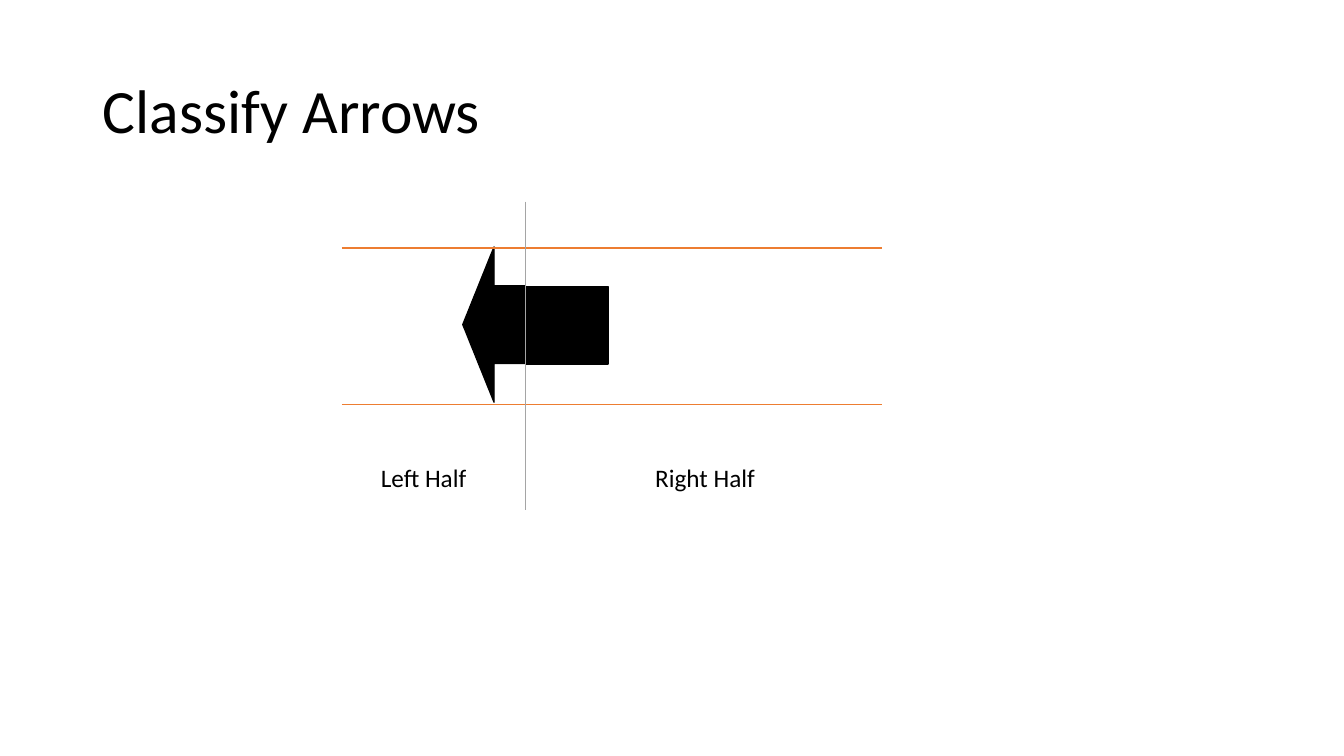
import pptx
import pptx.util
import pptx.dml.color
import pptx.enum.shapes
import pptx.enum.text
import pptx.oxml.ns
import lxml.etree

WIDE, HIGH = 13.33, 7.5
BLACK, ORANGE, GREY = "000000", "ED7D31", "A5A5A5"
TITLE = "Classify Arrows"
LEFT, MID, RIGHT = 3.39, 5.21, 8.75
TOP, BASE = 2.46, 4.01
LABELS = [("Left Half", 3.68, 1.07, False), ("Right Half", 6.4, 1.27, True)]
KINDS = pptx.enum.shapes.MSO_SHAPE
PARTS = [
    (KINDS.LEFT_ARROW, MID - 0.62, 2.45, 0.62, 1.54),
    (KINDS.RECTANGLE, MID, 2.84, 0.82, 0.77),
]
RULES = [
    (LEFT, TOP, RIGHT, TOP, ORANGE, 1.5),
    (LEFT, BASE, RIGHT, BASE, ORANGE, 0.5),
    (MID, 2, MID, 5.06, GREY, 0.5),
]


def tint(code):
    return pptx.dml.color.RGBColor.from_string(code)


def inch(*sizes):
    return [pptx.util.Inches(size) for size in sizes]


def style(frame, size):
    para = frame.paragraphs[0]
    para.alignment = pptx.enum.text.PP_ALIGN.LEFT
    font = para.runs[0].font
    font.name = "Calibri"
    font.size = pptx.util.Pt(size)
    font.color.rgb = tint(BLACK)


def trace(line, code, width):
    line.color.rgb = tint(code)
    line.width = pptx.util.Pt(width)


deck = pptx.Presentation()
deck.slide_width, deck.slide_height = inch(WIDE, HIGH)
slide = deck.slides.add_slide(deck.slide_layouts[5])
shapes = slide.shapes

title = shapes.title
title.left, title.top, title.width, title.height = inch(0.92, 0.4, 11.5, 1.45)
title.text_frame.text = TITLE
title.text_frame.vertical_anchor = pptx.enum.text.MSO_ANCHOR.MIDDLE
title.text_frame.paragraphs[0].line_spacing = 0.9
style(title.text_frame, 44)

for kind, *place in PARTS:
    part = shapes.add_shape(kind, *inch(*place))
    part.shadow.inherit = False
    part.fill.solid()
    part.fill.fore_color.rgb = tint(BLACK)
    trace(part.line, BLACK, 1)

for *ends, code, width in RULES:
    rule = shapes.add_connector(
        pptx.enum.shapes.MSO_CONNECTOR.STRAIGHT, *inch(*ends))
    trace(rule.line, code, width)
    lxml.etree.SubElement(
        rule._element.spPr, pptx.oxml.ns.qn("a:effectLst"))

for words, left, width, wrap in LABELS:
    label = shapes.add_textbox(*inch(left, 4.54, width, 0.4))
    frame = label.text_frame
    frame.text = words
    frame.word_wrap = wrap
    frame.auto_size = pptx.enum.text.MSO_AUTO_SIZE.SHAPE_TO_FIT_TEXT
    style(frame, 18)

deck.save("out.pptx")
